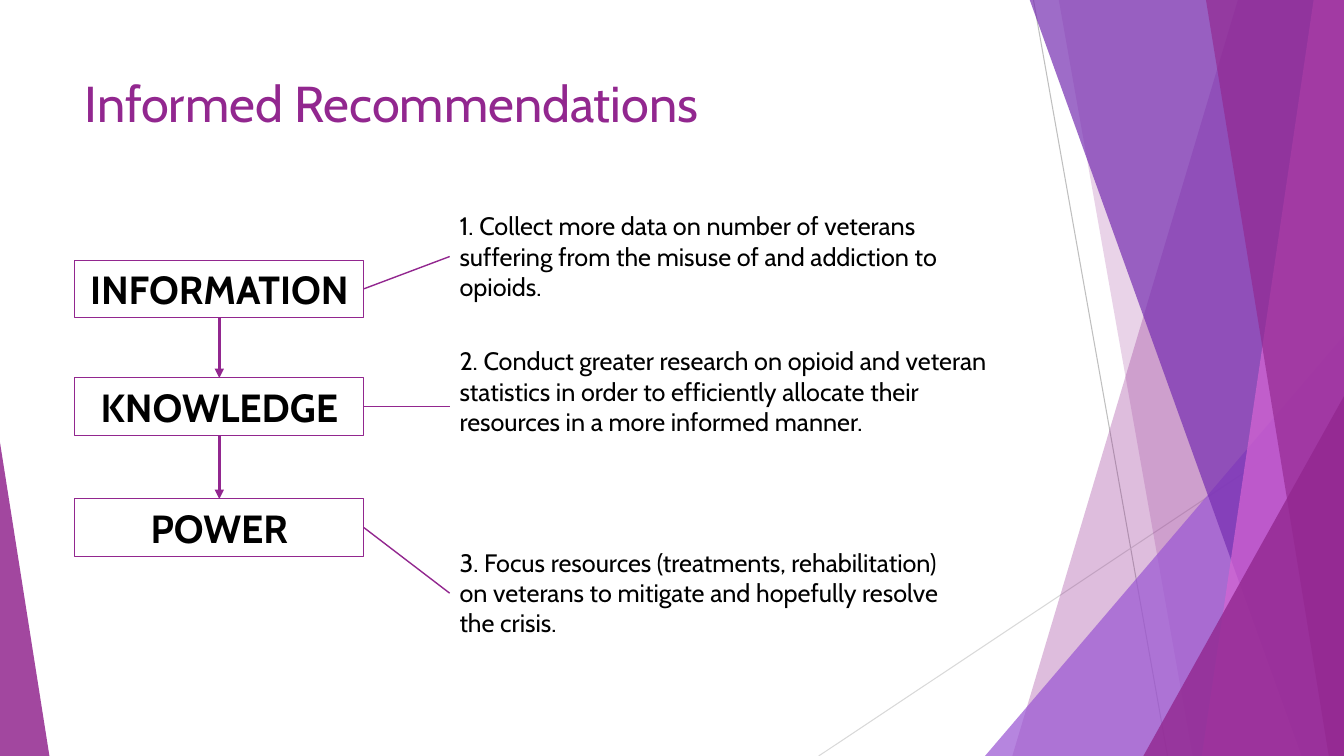
"""Build the Informed Recommendations slide."""
from dataclasses import dataclass

from lxml.etree import SubElement
from pptx import Presentation
from pptx.dml.color import RGBColor
from pptx.enum.shapes import MSO_CONNECTOR, MSO_SHAPE
from pptx.enum.text import MSO_ANCHOR, PP_ALIGN
from pptx.oxml.ns import qn
from pptx.util import Inches, Pt

WIDTH, HEIGHT = 13.33, 7.5


@dataclass(frozen=True)
class Theme:
    font: str = "Cabin"
    purple: str = "92278F"
    violet: str = "9B57D3"
    indigo: str = "762EB1"
    pink: str = "D665D3"
    grey: str = "BFBFBF"
    light_grey: str = "D9D9D9"
    black: str = "000000"
    title_size: int = 36
    step_size: int = 28
    advice_size: int = 18


class SlideBuilder:
    def __init__(self, slide, theme):
        self.shapes = slide.shapes
        self.theme = theme

    def fill(self, sp, color, alpha):
        sp.shadow.inherit = False
        sp.fill.solid()
        sp.fill.fore_color.rgb = RGBColor.from_string(color)
        clr = sp._element.spPr.find(qn("a:solidFill"))[0]
        SubElement(clr, qn("a:alpha"), val=str(alpha * 1000))
        sp.line.fill.background()

    def band(self, top_x, bottom_x, color, alpha):
        top = Inches(-0.01)
        right, bottom = Inches(WIDTH), Inches(HEIGHT)
        builder = self.shapes.build_freeform(Inches(top_x), top)
        builder.add_line_segments(
            [(right, top), (right, bottom), (Inches(bottom_x), bottom)])
        self.fill(builder.convert_to_shape(), color, alpha)

    def corner(self, left, top, width, apex, color, alpha):
        sp = self.shapes.add_shape(
            MSO_SHAPE.ISOSCELES_TRIANGLE, Inches(left), Inches(top),
            Inches(width), Inches(HEIGHT - top))
        sp.adjustments[0] = apex
        self.fill(sp, color, alpha)

    def line(self, start, end, color, width, arrow=False):
        cx = self.shapes.add_connector(
            MSO_CONNECTOR.STRAIGHT, *map(Inches, start + end))
        cx.line.color.rgb = RGBColor.from_string(color)
        cx.line.width = Pt(width)
        props = cx._element.spPr
        if arrow:
            SubElement(props.find(qn("a:ln")), qn("a:tailEnd"), type="triangle")
        SubElement(props, qn("a:effectLst"))
        return cx

    def join(self, first, first_side, second, second_side, width, arrow=False):
        cx = self.line((0, 0), (0, 0), self.theme.purple, width, arrow)
        cx.begin_connect(first, first_side)
        cx.end_connect(second, second_side)

    def set_text(self, sp, text, size, color, align=PP_ALIGN.LEFT,
                 anchor=MSO_ANCHOR.TOP, bold=False):
        tf = sp.text_frame
        tf.word_wrap = True
        tf.vertical_anchor = anchor
        p = tf.paragraphs[0]
        p.alignment = align
        r = p.add_run()
        r.text = text
        formats = {"name": self.theme.font, "size": Pt(size), "bold": bold}
        for name, value in formats.items():
            setattr(r.font, name, value)
        r.font.color.rgb = RGBColor.from_string(color)

    def title(self, text):
        sp = self.shapes.title
        place = {"left": 0.74, "top": 0.67, "width": 9.4, "height": 1.44}
        for name, value in place.items():
            setattr(sp, name, Inches(value))
        self.set_text(sp, text, self.theme.title_size, self.theme.purple)

    def step(self, text, top):
        sp = self.shapes.add_shape(
            MSO_SHAPE.RECTANGLE, Inches(0.74), Inches(top), Inches(2.87), Inches(0.57))
        sp.shadow.inherit = False
        sp.fill.background()
        sp.line.color.rgb = RGBColor.from_string(self.theme.purple)
        sp.line.width = Pt(0.75)
        self.set_text(sp, text, self.theme.step_size, self.theme.black,
                      PP_ALIGN.CENTER, MSO_ANCHOR.MIDDLE, True)
        return sp

    def advice(self, text, top, width, height):
        sp = self.shapes.add_textbox(
            Inches(4.46), Inches(top), Inches(width), Inches(height))
        self.set_text(sp, text, self.theme.advice_size, self.theme.black)
        return sp

    def backdrop(self):
        t = self.theme
        self.line((10.25, 0), (11.58, HEIGHT), t.grey, 0.75)
        self.line((WIDTH, 4.03), (8.12, HEIGHT), t.light_grey, 0.75)
        self.band(12.28, 10.04, t.purple, 30)
        self.band(10.5, 11.83, t.purple, 20)
        self.corner(9.77, 3.33, 3.56, 1, t.violet, 72)
        self.band(10.21, 12.91, t.indigo, 70)
        self.band(13.03, 11.92, t.pink, 70)
        self.band(11.96, 13.18, t.purple, 65)
        self.corner(11.34, 3.93, 1.99, 1, t.purple, 80)
        self.corner(0, 4.39, 0.49, 0, t.purple, 85)


STEPS = [
    ("INFORMATION", 2.58,
     "1. Collect more data on number of veterans suffering from the misuse of "
     "and addiction to opioids.", 2.04, 5.54, 1.01),
    ("KNOWLEDGE", 3.75,
     "2. Conduct greater research on opioid and veteran statistics in order to "
     "efficiently allocate their resources in a more informed manner.",
     3.38, 5.54, 1.31),
    ("POWER", 4.95,
     "3. Focus resources (treatments, rehabilitation) on veterans to mitigate "
     "and hopefully resolve the crisis.", 5.38, 5.26, 1.01),
]


def main():
    prs = Presentation()
    prs.slide_width, prs.slide_height = Inches(WIDTH), Inches(HEIGHT)
    s = SlideBuilder(prs.slides.add_slide(prs.slide_layouts[5]), Theme())
    s.backdrop()
    s.title("Informed Recommendations")
    previous = None
    for name, step_top, text, *place in STEPS:
        step = s.step(name, step_top)
        s.join(step, 3, s.advice(text, *place), 1, 1)
        if previous is not None:
            s.join(previous, 2, step, 0, 2.25, arrow=True)
        previous = step
    prs.save("out.pptx")


if __name__ == "__main__":
    main()
